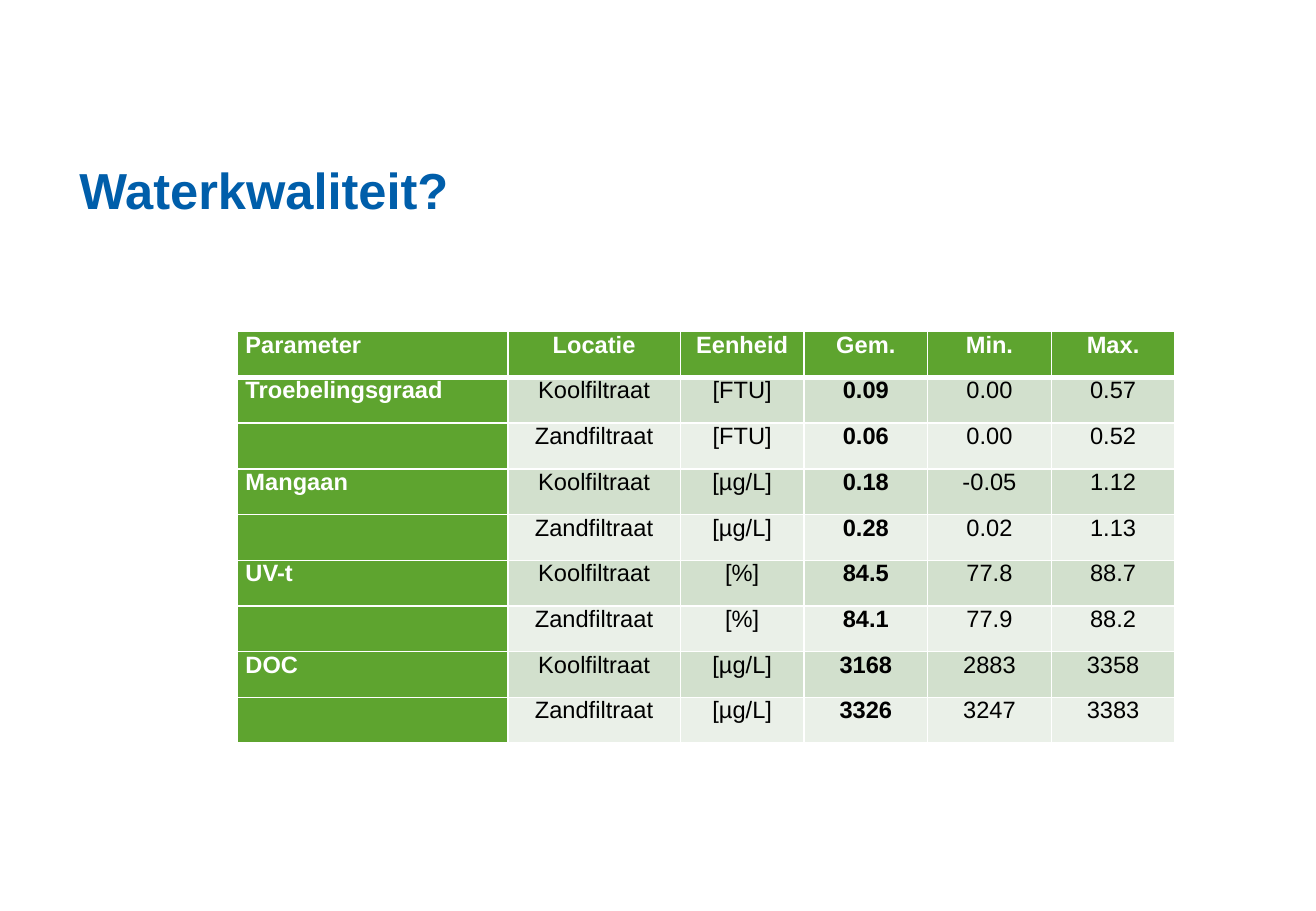
from lxml.etree import SubElement
from pptx import Presentation
from pptx.dml.color import RGBColor
from pptx.enum.text import MSO_ANCHOR, MSO_AUTO_SIZE, PP_ALIGN
from pptx.oxml.ns import qn
from pptx.util import Pt

HUES = {
    "blue": "005EAA",
    "green": "5EA42F",
    "dark": "D2E0CD",
    "light": "EAF0E8",
    "white": "FFFFFF",
    "black": "000000",
}
HEADS = ["Parameter", "Locatie", "Eenheid", "Gem.", "Min.", "Max."]
SITES = ["Koolfiltraat", "Zandfiltraat"]
DATA = [
    ("Troebelingsgraad", "[FTU]", [("0.09", "0.00", "0.57"), ("0.06", "0.00", "0.52")]),
    ("Mangaan", "[µg/L]", [("0.18", "-0.05", "1.12"), ("0.28", "0.02", "1.13")]),
    ("UV-t", "[%]", [("84.5", "77.8", "88.7"), ("84.1", "77.9", "88.2")]),
    ("DOC", "[µg/L]", [("3168", "2883", "3358"), ("3326", "3247", "3383")]),
]
WIDTHS = [160.5, 102.3, 73.3, 73.3, 73.3, 73.3]


def hue(name):
    return RGBColor.from_string(HUES[name])


def style(part, size, color, bold):
    for run in part.runs:
        font = run.font
        font.name = "Arial"
        font.size = Pt(size)
        font.bold = bold
        font.color.rgb = hue(color)


def border(cell, widths):
    props = cell._tc.get_or_add_tcPr()
    for side, width in zip("LRTB", widths):
        line = SubElement(props, qn(f"a:ln{side}"), w=str(Pt(width)))
        fill = SubElement(line, qn("a:solidFill"))
        SubElement(fill, qn("a:srgbClr"), val=HUES["white"])


def add_title(slide, left, top, width, height):
    title = slide.shapes.title
    title.left, title.top = Pt(left), Pt(top)
    title.width, title.height = Pt(width), Pt(height)
    frame = title.text_frame
    frame.text = "Waterkwaliteit?"
    frame.word_wrap = True
    frame.auto_size = MSO_AUTO_SIZE.NONE
    frame.vertical_anchor = MSO_ANCHOR.BOTTOM
    frame.margin_left = frame.margin_right = Pt(8)
    frame.margin_top = frame.margin_bottom = Pt(4)
    part = frame.paragraphs[0]
    part.alignment = PP_ALIGN.LEFT
    style(part, 30, "blue", True)


def fill_cell(cell, text, row, col):
    key = row == 0 or col == 0
    border(cell, (1, 1, 3 if row == 1 else 1, 3 if row == 0 else 1))
    cell.fill.solid()
    cell.fill.fore_color.rgb = hue("green" if key else "dark" if row % 2 else "light")
    cell.margin_left = cell.margin_right = Pt(5)
    cell.margin_top = cell.margin_bottom = 0
    cell.vertical_anchor = MSO_ANCHOR.TOP
    part = cell.text_frame.paragraphs[0]
    part.text = text
    part.alignment = PP_ALIGN.CENTER if col else PP_ALIGN.LEFT
    style(part, 14, "white" if key else "black", key or col == 3)


def add_grid(slide, left, top, width, height):
    rows = [HEADS]
    for name, unit, sets in DATA:
        for label, site, values in zip((name, ""), SITES, sets):
            rows.append([label, site, unit, *values])
    frame = slide.shapes.add_table(
        len(rows), len(HEADS), Pt(left), Pt(top), Pt(width), Pt(height)
    )
    table = frame.table
    for col, share in zip(table.columns, WIDTHS):
        col.width = Pt(width * share / sum(WIDTHS))
    for row, texts in enumerate(rows):
        table.rows[row].height = Pt(height / len(rows))
        for col, text in enumerate(texts):
            fill_cell(table.cell(row, col), text, row, col)


def main():
    deck = Presentation()
    deck.slide_width, deck.slide_height = Pt(780), Pt(540)
    slide = deck.slides.add_slide(deck.slide_layouts[5])
    add_title(slide, 39, 44, 702, 90)
    add_grid(slide, 140.5, 196.6, 556, 244)
    deck.save("out.pptx")


if __name__ == "__main__":
    main()
